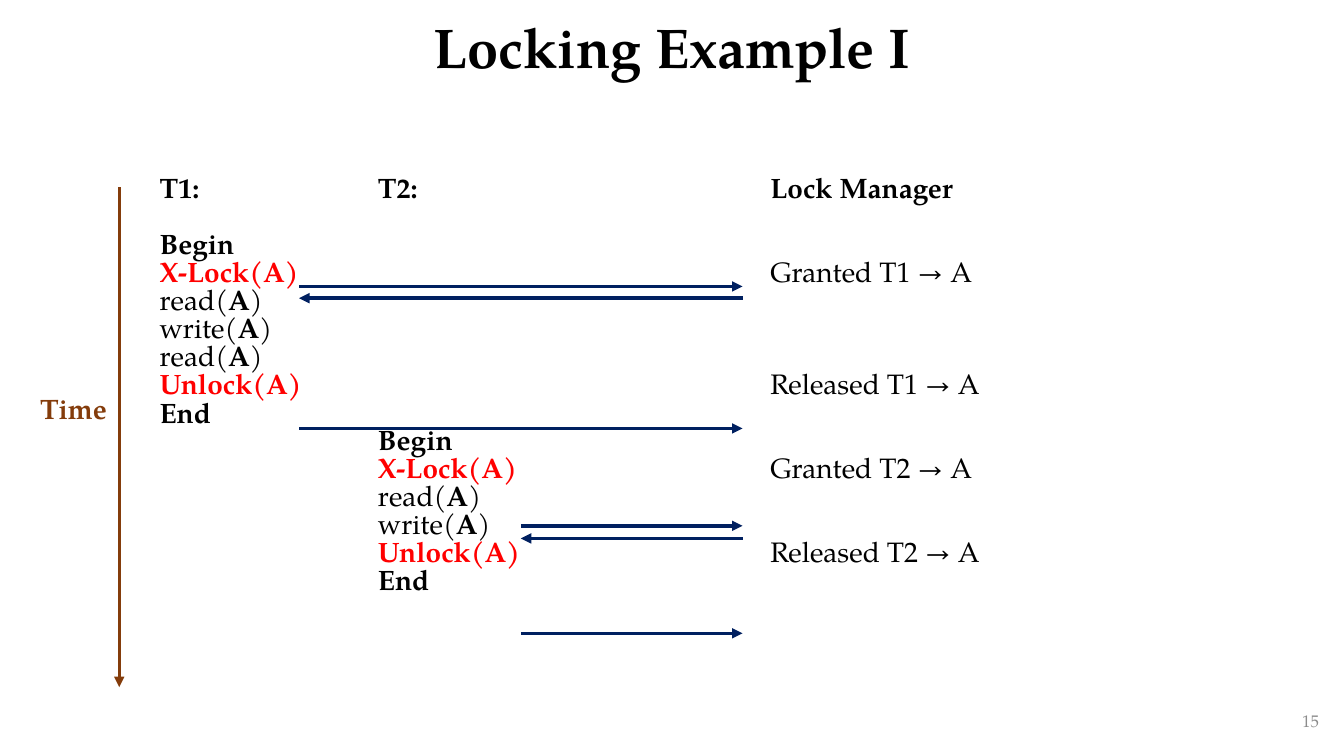
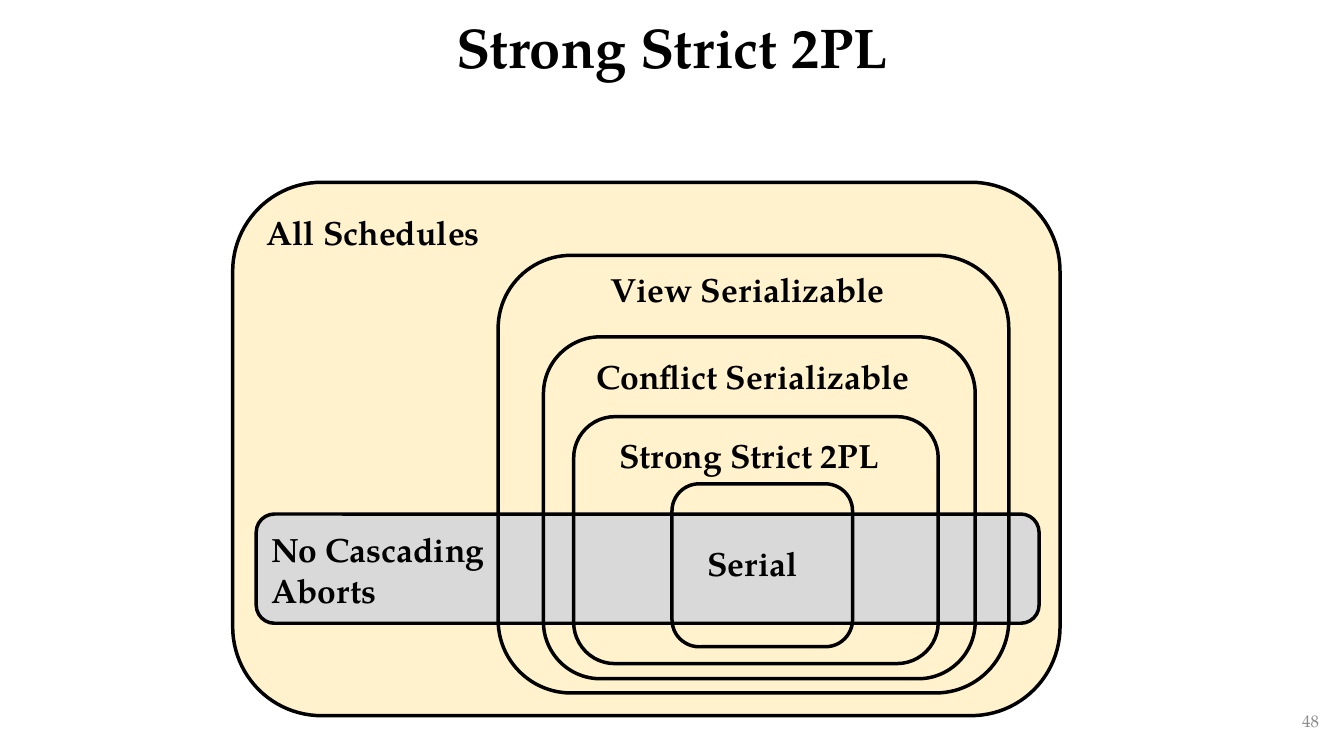
from dataclasses import dataclass

from lxml.etree import SubElement
from pptx import Presentation
from pptx.dml.color import RGBColor
from pptx.enum.shapes import MSO_CONNECTOR, MSO_SHAPE
from pptx.enum.text import MSO_ANCHOR, MSO_AUTO_SIZE, PP_ALIGN
from pptx.oxml.ns import qn
from pptx.util import Emu, Pt

# The slide is a grid of 160 columns and 90 rows of square cells.
COLS, ROWS, CELL = 160, 90, 76200
FONT = "TeX Gyre Pagella"
BLACK = RGBColor(0x00, 0x00, 0x00)
RED = RGBColor(0xFF, 0x00, 0x00)
BROWN = RGBColor(0x84, 0x3C, 0x0B)
NAVY = RGBColor(0x00, 0x20, 0x60)
GRAY = RGBColor(0x8C, 0x8C, 0x8C)
CREAM = RGBColor(0xFF, 0xF2, 0xCC)
SILVER = RGBColor(0xD9, 0xD9, 0xD9)
STROKE = Pt(2.5)
STEP = 20  # points from one schedule line to the next


@dataclass(frozen=True)
class Box:
    x: float
    y: float
    w: float
    h: float


@dataclass(frozen=True)
class Line:
    row: int
    text: str
    color: RGBColor = BLACK


@dataclass(frozen=True)
class Arrow:
    x1: float
    y1: float
    x2: float
    y2: float
    color: RGBColor = NAVY


@dataclass(frozen=True)
class Region:
    box: Box
    label: str
    spot: Box
    fill: RGBColor | None = None


TITLE = Box(11, 0, 138, 11.9)
NUMBER = Box(122.2, 83.4, 36, 4.8)

READ, WRITE = "read(*A*)", "write(*A*)"
LOCK, UNLOCK = "*X-Lock(A)*", "*Unlock(A)*"


def steps(name: str, start: int, body: list[str]) -> list[Line]:
    """Heading on row 0, then a transaction that begins on the start row."""
    texts = ["*Begin*", LOCK, *body, UNLOCK, "*End*"]
    return [Line(0, name)] + [
        Line(start + i, text, RED if text in (LOCK, UNLOCK) else BLACK)
        for i, text in enumerate(texts)
    ]


FIRST = steps("*T1:*", 2, [READ, WRITE, READ])
SECOND = steps("*T2:*", 9, [READ, WRITE])
MANAGER = [
    Line(0, "*Lock Manager*"),
    Line(3, "Granted T1 → A"),
    Line(7, "Released T1 → A"),
    Line(10, "Granted T2 → A"),
    Line(13, "Released T2 → A"),
]

LEFT, MID, RIGHT = 35.6, 62, 88.4
ARROWS = [
    Arrow(14.2, 22.3, 14.2, 81.8, BROWN),
    Arrow(LEFT, 34.1, RIGHT, 34.1),
    Arrow(RIGHT, 35.5, LEFT, 35.5),
    Arrow(LEFT, 51, RIGHT, 51),
    Arrow(MID, 62.6, RIGHT, 62.6),
    Arrow(RIGHT, 64.1, MID, 64.1),
    Arrow(MID, 75.4, RIGHT, 75.4),
]

REGIONS = [
    Region(Box(27.7, 21.7, 98.5, 63.5), "All Schedules", Box(30.5, 24.6, 29.2, 6), CREAM),
    Region(Box(30.5, 61.2, 93.2, 13), "No Cascading\nAborts", Box(31.1, 62.4, 28, 10.9), SILVER),
    Region(Box(59.3, 30.4, 60.8, 52.1), "View Serializable", Box(71.5, 31.4, 36.4, 6)),
    Region(Box(64.7, 40.1, 51.4, 40.7), "Conflict Serializable", Box(69.8, 41.8, 41.8, 6)),
    Region(Box(68.3, 49.6, 43.4, 29.4), "Strong Strict 2PL", Box(72.6, 51.2, 36.4, 6)),
    Region(Box(80, 57.6, 21.5, 19.4), "Serial", Box(83, 64.1, 15.4, 6)),
]


def grid(*cells: float) -> list[Emu]:
    return [Emu(round(c * CELL)) for c in cells]


def place(box: Box) -> list[Emu]:
    return grid(box.x, box.y, box.w, box.h)


def write(para, text: str, *, size: float = 20, color: RGBColor = BLACK,
          align=PP_ALIGN.LEFT, pitch=None, before: float = 0) -> None:
    """Fill a paragraph; asterisks switch bold on and off."""
    para.alignment = align
    para.space_before = Pt(before)
    if pitch is not None:
        para.line_spacing = pitch
    for i, part in enumerate(text.split("*")):
        if part:
            run = para.add_run()
            run.text = part
            font = run.font
            font.name, font.size, font.bold = FONT, Pt(size), i % 2 == 1
            font.color.rgb = color


def add_text(slide, box: Box, text: str, *, anchor=MSO_ANCHOR.TOP, **style) -> None:
    frame = slide.shapes.add_textbox(*place(box)).text_frame
    frame.word_wrap = True
    frame.vertical_anchor = anchor
    for i, part in enumerate(text.split("\n")):
        write(frame.add_paragraph() if i else frame.paragraphs[0], part, **style)


def add_slide(deck, title: str, number: int):
    slide = deck.slides.add_slide(deck.slide_layouts[5])
    head = slide.shapes.title
    head.left, head.top, head.width, head.height = place(TITLE)
    frame = head.text_frame
    frame.auto_size = MSO_AUTO_SIZE.NONE
    frame.vertical_anchor = MSO_ANCHOR.MIDDLE
    write(frame.paragraphs[0], f"*{title}*", size=40, align=PP_ALIGN.CENTER, pitch=0.9)
    add_text(slide, NUMBER, str(number), anchor=MSO_ANCHOR.MIDDLE,
             size=12, color=GRAY, align=PP_ALIGN.RIGHT)
    return slide


def add_lists(slide, x: float, height: float, widths: list[float],
              lists: list[list[Line]]) -> None:
    """Draw a one-row table with a list of timed lines in each cell."""
    box = Box(x, 20.6, sum(widths), height)
    table = slide.shapes.add_table(1, len(widths), *place(box)).table
    table.first_row = table.horz_banding = False
    for col, width in zip(table.columns, grid(*widths)):
        col.width = width
    for cell, lines in zip(table.rows[0].cells, lists):
        cell.fill.background()
        frame = cell.text_frame
        last = -1
        for line in lines:
            para = frame.paragraphs[0] if last < 0 else frame.add_paragraph()
            write(para, line.text, color=line.color, pitch=Pt(STEP),
                  before=(line.row - last - 1) * STEP)
            last = line.row


def add_arrow(slide, arrow: Arrow) -> None:
    ends = grid(arrow.x1, arrow.y1, arrow.x2, arrow.y2)
    link = slide.shapes.add_connector(MSO_CONNECTOR.STRAIGHT, *ends)
    link.line.color.rgb = arrow.color
    link.line.width = STROKE
    SubElement(link.line._get_or_add_ln(), qn("a:tailEnd"), type="triangle")
    SubElement(link._element.spPr, qn("a:effectLst"))


def add_region(slide, region: Region) -> None:
    shape = slide.shapes.add_shape(MSO_SHAPE.ROUNDED_RECTANGLE, *place(region.box))
    shape.shadow.inherit = False
    shape.line.color.rgb = BLACK
    shape.line.width = STROKE
    if region.fill is None:
        shape.fill.background()
    else:
        shape.fill.solid()
        shape.fill.fore_color.rgb = region.fill


def draw_locks(deck) -> None:
    slide = add_slide(deck, "Locking Example I", 15)
    add_lists(slide, 17.8, 61.2, [26, 24.6], [FIRST, SECOND])
    add_lists(slide, 90.5, 57.2, [32.9], [MANAGER])
    add_text(slide, Box(3.6, 46, 10.7, 5.3), "*Time*", color=BROWN)
    for arrow in ARROWS:
        add_arrow(slide, arrow)


def draw_sets(deck) -> None:
    slide = add_slide(deck, "Strong Strict 2PL", 48)
    for region in REGIONS:
        add_region(slide, region)
    for region in REGIONS:
        bold = "\n".join(f"*{part}*" for part in region.label.split("\n"))
        add_text(slide, region.spot, bold, size=24)


def main() -> None:
    deck = Presentation()
    deck.slide_width, deck.slide_height = grid(COLS, ROWS)
    draw_locks(deck)
    draw_sets(deck)
    deck.save("out.pptx")


if __name__ == "__main__":
    main()
